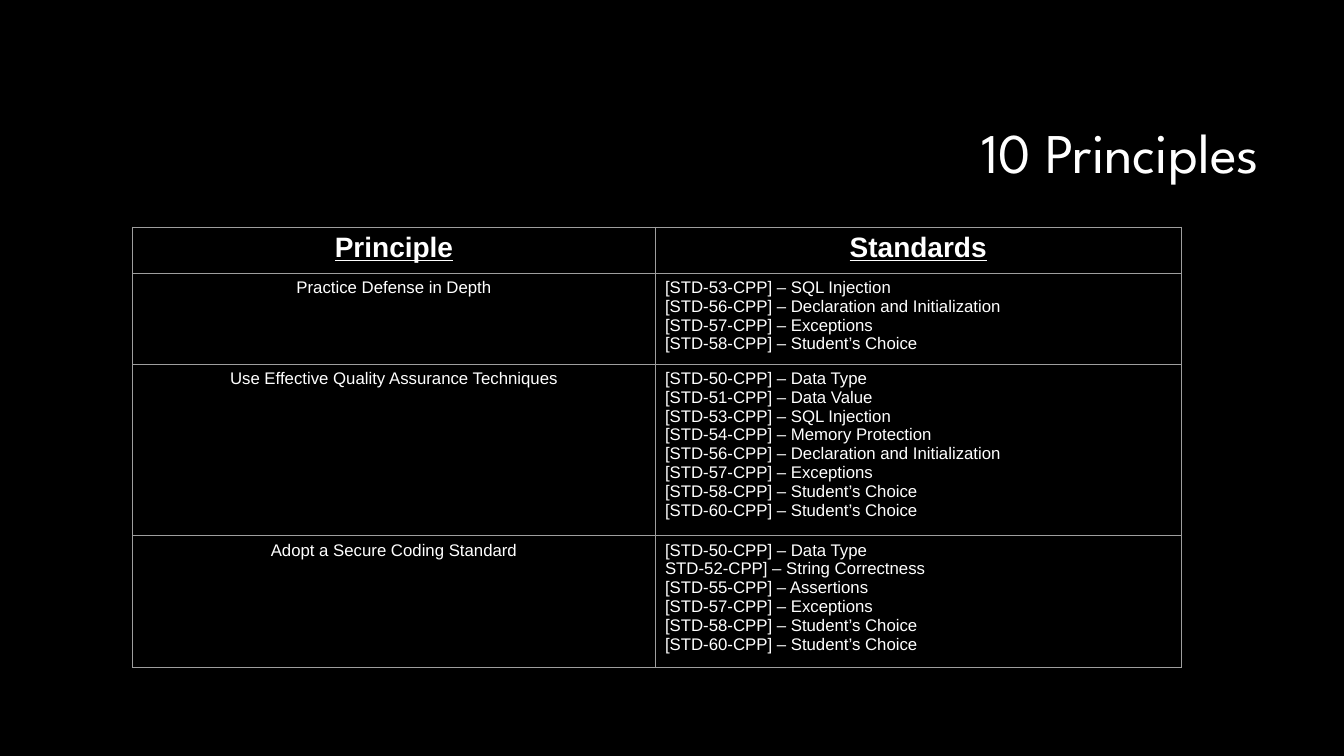
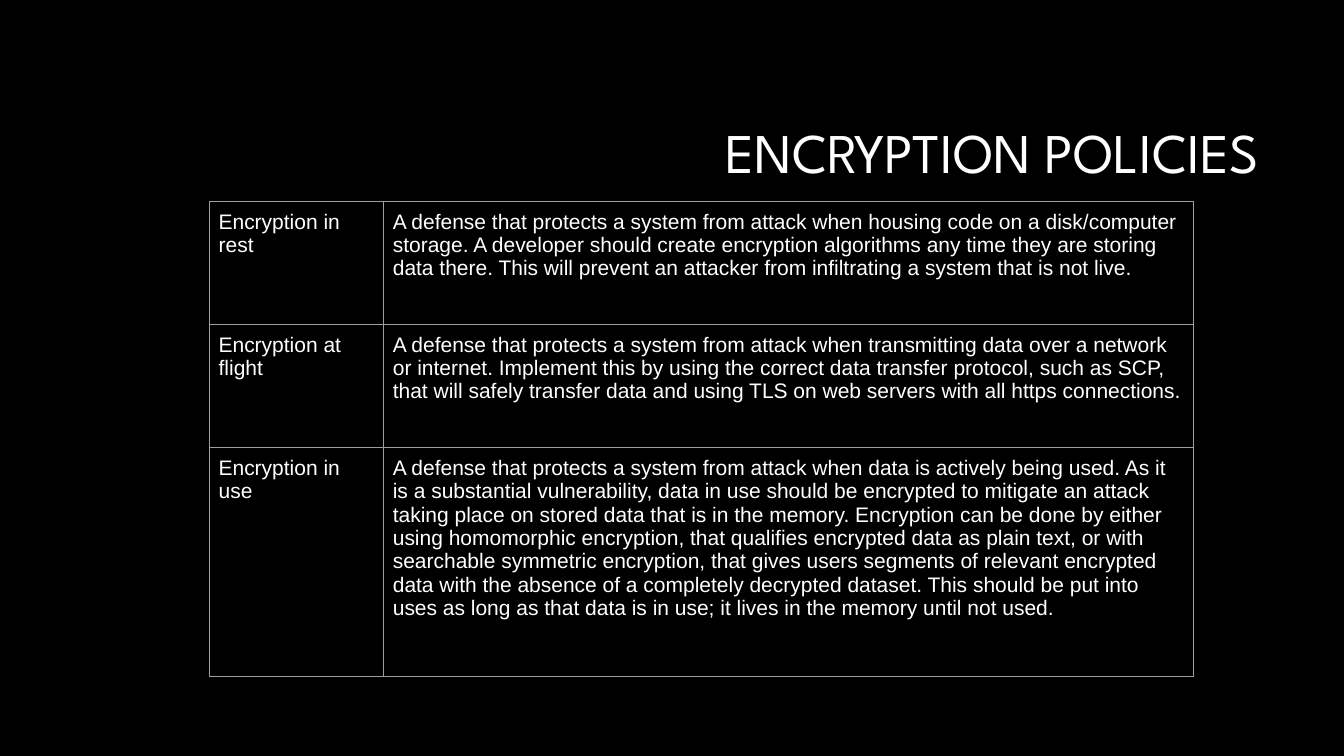
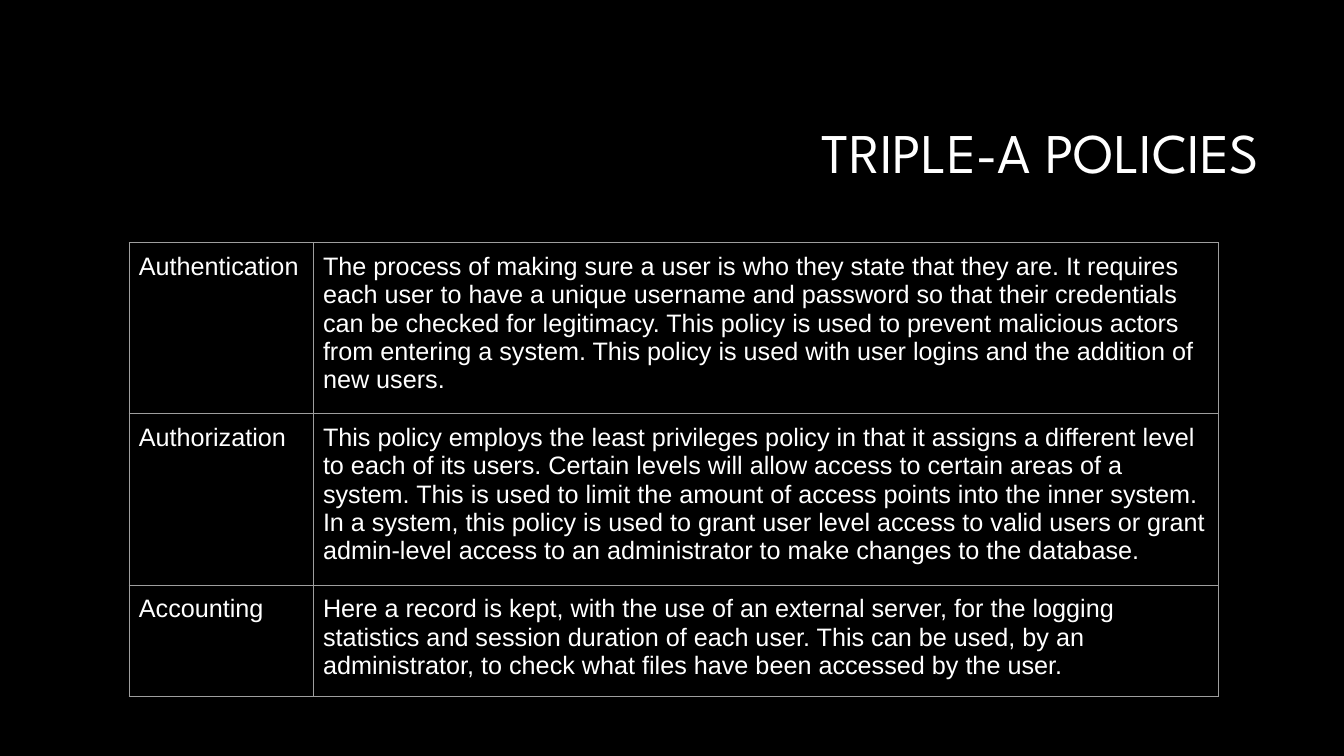
from lxml import etree
from pptx import Presentation
from pptx.dml.color import RGBColor
from pptx.enum.text import MSO_ANCHOR, PP_ALIGN
from pptx.oxml.ns import qn
from pptx.util import Cm, Pt

LEFT, CENTER, RIGHT = PP_ALIGN.LEFT, PP_ALIGN.CENTER, PP_ALIGN.RIGHT
MIDDLE = MSO_ANCHOR.MIDDLE


class Theme:
    back = RGBColor(0, 0, 0)
    ink = RGBColor(255, 255, 255)
    rule = "9E9E9E"
    rule_width = Pt(0.75)
    title_font = "League Spartan"
    body_font = "Arial"
    title_size = 40
    head_size = 20
    list_size = 12
    crypt_size = 15
    triple_size = 18


def write(frame, text, font=Theme.body_font, size=12, align=LEFT,
          bold=False, underline=False, spacing=None):
    """Fill a text frame, one paragraph for each line of text."""
    frame.word_wrap = True
    for i, line in enumerate(text.split("\n")):
        para = frame.add_paragraph() if i else frame.paragraphs[0]
        para.alignment = align
        para.line_spacing = spacing
        run = para.add_run()
        run.text = line
        run.font.name = font
        run.font.size = Pt(size)
        run.font.bold = bold
        run.font.underline = underline
        run.font.color.rgb = Theme.ink


def outline(cell):
    """Draw a thin rule on all four sides of a cell."""
    props = cell._tc.get_or_add_tcPr()
    for side in ("a:lnL", "a:lnR", "a:lnT", "a:lnB"):
        line = etree.SubElement(props, qn(side), w=str(int(Theme.rule_width)))
        fill = etree.SubElement(line, qn("a:solidFill"))
        etree.SubElement(fill, qn("a:srgbClr"), val=Theme.rule)


rules = {
    50: "[STD-50-CPP] – Data Type",
    51: "[STD-51-CPP] – Data Value",
    52: "STD-52-CPP] – String Correctness",
    53: "[STD-53-CPP] – SQL Injection",
    54: "[STD-54-CPP] – Memory Protection",
    55: "[STD-55-CPP] – Assertions",
    56: "[STD-56-CPP] – Declaration and Initialization",
    57: "[STD-57-CPP] – Exceptions",
    58: "[STD-58-CPP] – Student’s Choice",
    60: "[STD-60-CPP] – Student’s Choice",
}
goals = [
    ("Practice Defense in Depth", (53, 56, 57, 58)),
    ("Use Effective Quality Assurance Techniques",
     (50, 51, 53, 54, 56, 57, 58, 60)),
    ("Adopt a Secure Coding Standard", (50, 52, 55, 57, 58, 60)),
]

slides = [
    dict(
        title="10 Principles", left=3.35, top=5.72, size=Theme.list_size,
        cols=(13.16, 13.26), rows=(1.16, 2.14, 4.06, 3.1),
        pad=(0.25, 0.13), head=True, first=CENTER,
        cells=[("Principle", "Standards")] + [
            (goal, "\n".join(rules[code] for code in codes))
            for goal, codes in goals],
    ),
    dict(
        title="ENCRYPTION POLICIES", left=5.28, top=5.07,
        size=Theme.crypt_size, cols=(4.39, 20.41), rows=(3.1, 3.1, 5.77),
        pad=(0.23, 0.23), head=False, first=LEFT,
        cells=[
            ("Encryption in rest",
             "A defense that protects a system from attack when housing code "
             "on a disk/computer storage. A developer should create "
             "encryption algorithms any time they are storing data there. "
             "This will prevent an attacker from infiltrating a system that "
             "is not live."),
            ("Encryption at flight",
             "A defense that protects a system from attack when transmitting "
             "data over a network or internet. Implement this by using the "
             "correct data transfer protocol, such as SCP, that will safely "
             "transfer data and using TLS on web servers with all https "
             "connections."),
            ("Encryption in use",
             "A defense that protects a system from attack when data is "
             "actively being used. As it is a substantial vulnerability, "
             "data in use should be encrypted to mitigate an attack taking "
             "place on stored data that is in the memory. Encryption can be "
             "done by either using homomorphic encryption, that qualifies "
             "encrypted data as plain text, or with searchable symmetric "
             "encryption, that gives users segments of relevant encrypted "
             "data with the absence of a completely decrypted dataset. This "
             "should be put into uses as long as that data is in use; it "
             "lives in the memory until not used."),
        ],
    ),
    dict(
        title="TRIPLE-A POLICIES", left=3.25, top=6.12,
        size=Theme.triple_size, cols=(4.64, 22.81), rows=(4.29, 4.29, 2.8),
        pad=(0.25, 0.25), head=False, first=LEFT,
        cells=[
            ("Authentication",
             "The process of making sure a user is who they state that they "
             "are. It requires each user to have a unique username and "
             "password so that their credentials can be checked for "
             "legitimacy. This policy is used to prevent malicious actors "
             "from entering a system. This policy is used with user logins "
             "and the addition of new users."),
            ("Authorization",
             "This policy employs the least privileges policy in that it "
             "assigns a different level to each of its users. Certain levels "
             "will allow access to certain areas of a system. This is used "
             "to limit the amount of access points into the inner system. In "
             "a system, this policy is used to grant user level access to "
             "valid users or grant admin-level access to an administrator to "
             "make changes to the database."),
            ("Accounting",
             "Here a record is kept, with the use of an external server, for "
             "the logging statistics and session duration of each user. This "
             "can be used, by an administrator, to check what files have "
             "been accessed by the user."),
        ],
    ),
]

deck = Presentation()
deck.slide_width, deck.slide_height = Cm(33.87), Cm(19.05)
blank = deck.slide_layouts[6]

for page in slides:
    slide = deck.slides.add_slide(blank)
    slide.background.fill.solid()
    slide.background.fill.fore_color.rgb = Theme.back

    title = slide.shapes.add_textbox(Cm(8.05), Cm(2.13), Cm(23.93), Cm(3.58))
    title.text_frame.vertical_anchor = MIDDLE
    write(title.text_frame, page["title"], font=Theme.title_font,
          size=Theme.title_size, align=RIGHT, spacing=0.9)

    cols, rows = page["cols"], page["rows"]
    table = slide.shapes.add_table(
        len(rows), len(cols), Cm(page["left"]), Cm(page["top"]),
        Cm(sum(cols)), Cm(sum(rows))).table
    table.first_row = page["head"]
    table.horz_banding = False
    for col, width in zip(table.columns, cols):
        col.width = Cm(width)
    for row, height in zip(table.rows, rows):
        row.height = Cm(height)

    side, edge = page["pad"]
    for r, texts in enumerate(page["cells"]):
        head = page["head"] and r == 0
        for c, text in enumerate(texts):
            cell = table.cell(r, c)
            outline(cell)
            cell.fill.solid()
            cell.fill.fore_color.rgb = Theme.back
            cell.margin_left = cell.margin_right = Cm(side)
            cell.margin_top = cell.margin_bottom = Cm(edge)
            write(cell.text_frame, text,
                  size=Theme.head_size if head else page["size"],
                  align=page["first"] if head or c == 0 else LEFT,
                  bold=head, underline=head)

deck.save("out.pptx")
